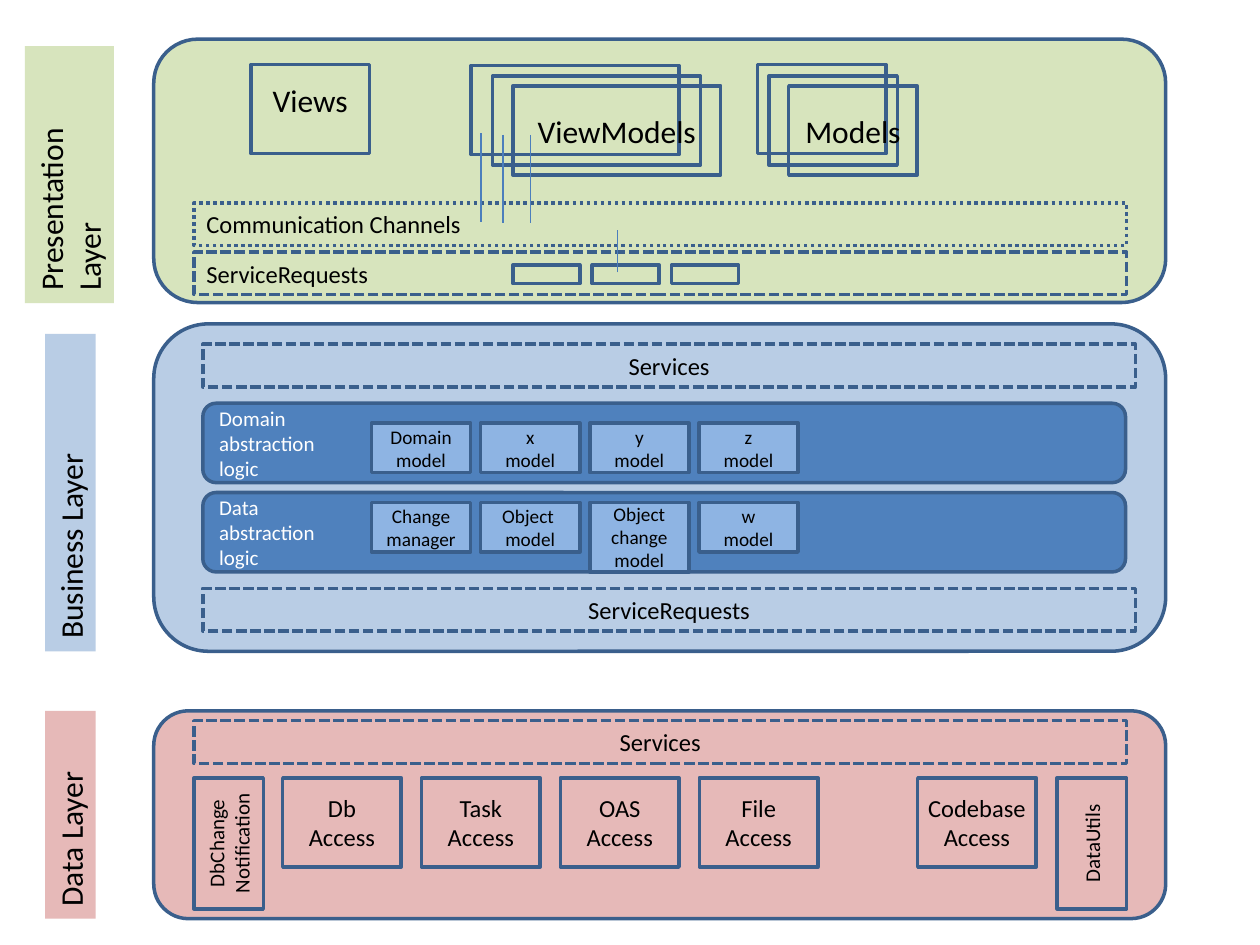
from pptx import Presentation
from pptx.dml.color import RGBColor
from pptx.enum.dml import MSO_LINE as Dash
from pptx.enum.shapes import MSO_CONNECTOR as Connector, MSO_SHAPE as Shape
from pptx.enum.text import MSO_ANCHOR as Anchor, PP_ALIGN as Align
from pptx.oxml.ns import qn
from pptx.util import Cm, Pt
from lxml.etree import SubElement

BLACK = RGBColor(0x00, 0x00, 0x00)
WHITE = RGBColor(0xFF, 0xFF, 0xFF)
GREEN = RGBColor(0xD7, 0xE4, 0xBD)
PALE_BLUE = RGBColor(0xB9, 0xCD, 0xE5)
MODEL_BLUE = RGBColor(0x8E, 0xB4, 0xE3)
LOGIC_BLUE = RGBColor(0x4F, 0x81, 0xBD)
PINK = RGBColor(0xE6, 0xB9, 0xB8)
BORDER = RGBColor(0x3A, 0x5F, 0x8C)
LINK = RGBColor(0x4B, 0x7E, 0xBC)

# All lengths below are in centimetres
PANEL_LEFT, PANEL_WIDTH = 3.1, 20.4
STRIP_WIDTH, STRIP_HEIGHT = 18.8, 0.86
CARD_WIDTH, CARD_HEIGHT = 2.39, 1.8


def add_box(slide, left, top, width, height, text="", size=14, fill=None,
            border=BORDER, dash=None, kind=Shape.RECTANGLE, color=BLACK,
            align=Align.CENTER, anchor=Anchor.MIDDLE, vertical=False):
    """Add a box; a vertical one is turned so its text reads upwards."""
    if vertical:
        left, top = left + (width - height) / 2, top + (height - width) / 2
        width, height = height, width
    box = slide.shapes.add_shape(kind, Cm(left), Cm(top), Cm(width), Cm(height))
    box.rotation = 270 if vertical else 0
    box.shadow.inherit = False
    if fill is None:
        box.fill.background()
    else:
        box.fill.solid()
        box.fill.fore_color.rgb = fill
    if border is None:
        box.line.fill.background()
    else:
        box.line.color.rgb = border
        box.line.width = Pt(2)
        if dash is not None:
            box.line.dash_style = dash
    if text:
        frame = box.text_frame
        frame.word_wrap = True
        frame.vertical_anchor = anchor
        if align == Align.CENTER:
            frame.margin_left = frame.margin_right = Cm(0.1)
        frame.text = text
        for paragraph in frame.paragraphs:
            paragraph.alignment = align
            paragraph.font.name = "Calibri"
            paragraph.font.size = Pt(size)
            paragraph.font.color.rgb = color
    return box


def add_link(slide, x, start, end):
    link = slide.shapes.add_connector(
        Connector.STRAIGHT, Cm(x), Cm(start), Cm(x), Cm(end))
    link.line.color.rgb = LINK
    link.line.width = Pt(0.75)
    SubElement(link._element.spPr, qn("a:effectLst"))


def add_strip(slide, left, top, text, dash=Dash.SQUARE_DOT, align=Align.CENTER):
    add_box(slide, left, top, STRIP_WIDTH, STRIP_HEIGHT, text,
            dash=dash, align=align)


def add_panel(slide, top, height, fill):
    add_box(slide, PANEL_LEFT, top, PANEL_WIDTH, height, fill=fill,
            kind=Shape.ROUNDED_RECTANGLE)


def add_layer_label(slide, left, top, width, height, text, fill):
    add_box(slide, left, top, width, height, text, 18, fill, border=None,
            align=Align.LEFT, vertical=True)


def add_presentation_layer(slide, left, top, height):
    add_panel(slide, top, height, GREEN)
    add_layer_label(slide, 0.5, top + 0.14, 1.8, 5.18,
                    "Presentation Layer", GREEN)

    # Views, and stacks of view models and models
    views = add_box(slide, left + 1.96, top + 0.51, CARD_WIDTH, CARD_HEIGHT,
                    "Views", 18, anchor=Anchor.TOP)
    views.text_frame.margin_top = Cm(0.33)
    stacks = [
        ("ViewModels", 4.19, [(6.4, 0.53), (6.83, 0.74), (7.24, 0.94)]),
        ("Models", 2.59, [(12.17, 0.51), (12.4, 0.74), (12.8, 0.94)]),
    ]
    for name, width, corners in stacks:
        for x, y in corners:
            add_box(slide, left + x, top + y, width, CARD_HEIGHT,
                    name if (x, y) == corners[-1] else "", 18)

    # Channels and requests
    add_strip(slide, left + 0.81, top + 3.3, "Communication Channels",
              Dash.ROUND_DOT, Align.LEFT)
    add_strip(slide, left + 0.81, top + 4.29, "ServiceRequests",
              align=Align.LEFT)
    for column in range(3):
        add_box(slide, left + 7.24 + 1.6 * column, top + 4.55, 1.35, 0.38)

    # Links to the channels
    for x, start, end in [(6.6, 1.9, 3.68), (7.04, 1.93, 3.71),
                          (7.59, 1.93, 3.71), (9.35, 4.7, 3.84)]:
        add_link(slide, left + x, top + start, top + end)


def add_logic_bar(slide, left, top, text, models, model_top):
    add_box(slide, left, top, 18.6, 1.6, text, 12, LOGIC_BLUE,
            kind=Shape.ROUNDED_RECTANGLE, color=WHITE, align=Align.LEFT)
    for column, model in enumerate(models):
        height = 1.4 if model.count("\v") == 2 else 1
        add_box(slide, left + 3.4 + 2.2 * column, top + model_top, 2, height,
                model, 11, MODEL_BLUE)


def add_business_layer(slide, left, top, height):
    add_panel(slide, top, height, PALE_BLUE)
    add_layer_label(slide, 0.91, top + 0.2, 1.02, 6.4,
                    "Business Layer", PALE_BLUE)
    inner_left = left + 0.99
    add_strip(slide, inner_left, top + 0.41, "Services")
    add_logic_bar(slide, inner_left, top + 1.6, "Domain\nabstraction\nlogic",
                  ["Domain\vmodel", "x\vmodel", "y\vmodel", "z\vmodel"], 0.4)
    add_logic_bar(slide, inner_left, top + 3.4, "Data\nabstraction\nlogic",
                  ["Change\vmanager", "Object \vmodel",
                   "Object\vchange\vmodel", "w\vmodel"], 0.2)
    add_strip(slide, inner_left, top + 5.33, "ServiceRequests")


def add_data_layer(slide, left, top, height):
    add_panel(slide, top, height, PINK)
    add_layer_label(slide, 0.91, top, 1.02, height, "Data Layer", PINK)
    add_strip(slide, left + 0.81, top + 0.2, "Services")
    row_top = top + 1.35

    # Upright boxes at both ends
    for x, text in [(0.81, "DbChange\vNotification"), (18.21, "DataUtils")]:
        add_box(slide, left + x, row_top, 1.4, 2.64, text, 12, vertical=True)

    # Access cards
    for x, source in [(2.6, "Db"), (5.4, "Task"), (8.2, "OAS"),
                      (11, "File"), (15.4, "Codebase")]:
        add_box(slide, left + x, row_top, CARD_WIDTH, CARD_HEIGHT,
                f"{source}\vAccess")


def main():
    deck = Presentation()
    deck.slide_width, deck.slide_height = Cm(25.4), Cm(19.05)
    slide = deck.slides.add_slide(deck.slide_layouts[6])
    add_presentation_layer(slide, PANEL_LEFT, 0.79, 5.31)
    add_business_layer(slide, PANEL_LEFT, 6.53, 6.6)
    add_data_layer(slide, PANEL_LEFT, 14.33, 4.19)
    deck.save("out.pptx")


if __name__ == "__main__":
    main()
